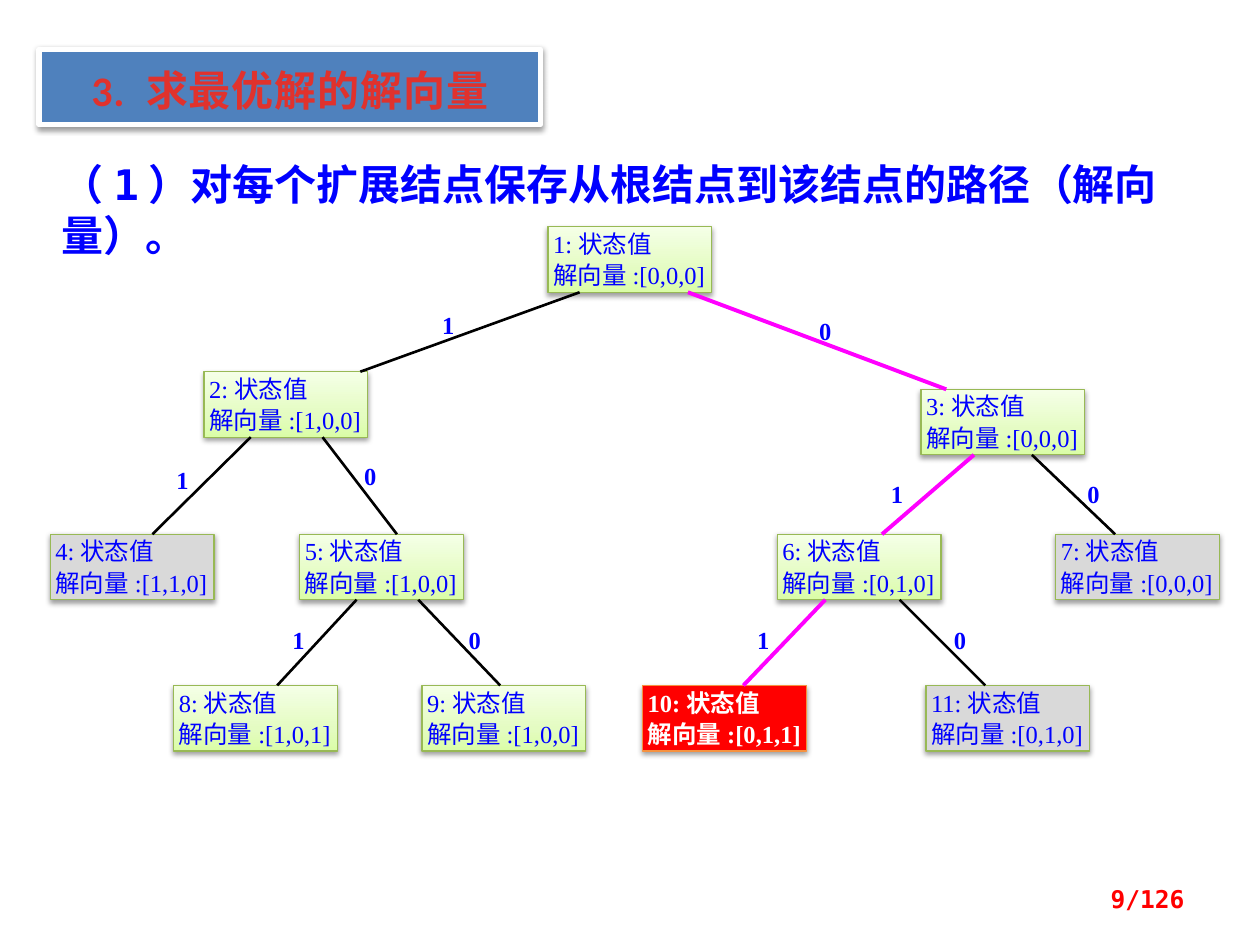
from copy import deepcopy
from dataclasses import dataclass

from lxml import etree
from pptx import Presentation
from pptx.dml.color import RGBColor
from pptx.enum.shapes import MSO_CONNECTOR, MSO_SHAPE
from pptx.enum.text import MSO_ANCHOR, MSO_AUTO_SIZE, PP_ALIGN
from pptx.oxml.ns import qn
from pptx.util import Inches, Pt

RECT = MSO_SHAPE.RECTANGLE
STRAIGHT = MSO_CONNECTOR.STRAIGHT
TOP, MIDDLE = MSO_ANCHOR.TOP, MSO_ANCHOR.MIDDLE
LEFT, CENTER, RIGHT = PP_ALIGN.LEFT, PP_ALIGN.CENTER, PP_ALIGN.RIGHT
FIXED_SIZE = MSO_AUTO_SIZE.NONE
TITLE_ONLY = 5


@dataclass(frozen=True)
class Theme:
    serif: str = "Times New Roman"
    mono: str = "DejaVu Sans Mono"
    sans: str = "Calibri"
    heading: int = 24
    small: int = 14
    blue: str = "0000FF"
    white: str = "FFFFFF"
    black: str = "000000"
    red: str = "FF0000"
    magenta: str = "FF00FF"
    gray: str = "D9D9D9"
    banner: str = "4F81BD"
    green_line: str = "98B955"
    orange_line: str = "F69240"
    green_stops: tuple = ((0, "DAFDA7"), (0.35, "E4FCC2"), (1, "F5FFE7"))
    title_stops: tuple = ((0.25, "E0322D"), (1, "A2201C"))


THEME = Theme()
NODE_W, NODE_H = 1.3, 0.52
LABEL_W, LABEL_H = 0.19, 0.21

# Node number: left, top, solution vector, state
NODES = {
    1: (4.35, 1.8, "0,0,0", "live"),
    2: (1.62, 2.95, "1,0,0", "live"),
    3: (7.31, 3.09, "0,0,0", "live"),
    4: (0.4, 4.24, "1,1,0", "dead"),
    5: (2.38, 4.24, "1,0,0", "live"),
    6: (6.17, 4.24, "0,1,0", "live"),
    7: (8.38, 4.24, "0,0,0", "dead"),
    8: (1.38, 5.44, "1,0,1", "live"),
    9: (3.35, 5.44, "1,0,0", "live"),
    10: (5.1, 5.44, "0,1,1", "best"),
    11: (7.35, 5.44, "0,1,0", "dead"),
}
# Parent, child, x at parent, x at child, choice, label left, label top
EDGES = [
    (1, 2, 4.6, 2.86, "1", 3.51, 2.46),
    (1, 3, 5.46, 7.51, "0", 6.5, 2.51),
    (2, 4, 1.99, 1.21, "1", 1.4, 3.69),
    (2, 5, 2.56, 3.15, "0", 2.89, 3.66),
    (3, 6, 7.73, 7.0, "1", 7.07, 3.8),
    (3, 7, 8.19, 8.85, "0", 8.63, 3.8),
    (5, 8, 2.83, 2.2, "1", 2.32, 4.96),
    (5, 9, 3.32, 3.97, "0", 3.72, 4.96),
    (6, 10, 6.55, 5.9, "1", 6.01, 4.96),
    (6, 11, 7.14, 7.82, "0", 7.57, 4.96),
]
BEST_PATH = (1, 3, 6, 10)


def rgb(color):
    return RGBColor.from_string(color)


def solid(fill, color):
    fill.solid()
    fill.fore_color.rgb = rgb(color)


def gradient(fill, parent, stops, angle):
    """Fill with any number of stops; parent is the element holding the fill."""
    fill.gradient()
    fill.gradient_angle = angle
    stop_list = parent.find(".//" + qn("a:gsLst"))
    for _ in stops[2:]:
        stop_list.append(deepcopy(stop_list[-1]))
    for stop, (position, color) in zip(fill.gradient_stops, stops):
        stop.position = position
        stop.color.rgb = rgb(color)


def outline(sp, color, width):
    sp.line.color.rgb = rgb(color)
    sp.line.width = Pt(width)


def drop_shadow(sp):
    sp.shadow.inherit = False
    effects = sp._element.spPr.find(qn("a:effectLst"))
    shadow = etree.SubElement(effects, qn("a:outerShdw"), blurRad=str(Pt(3.1)),
                              dist=str(Pt(1.6)), dir="5400000", rotWithShape="0")
    color = etree.SubElement(shadow, qn("a:srgbClr"), val=THEME.black)
    etree.SubElement(color, qn("a:alpha"), val="38000")


def set_frame(tf, margins, anchor=TOP, wrap=True):
    tf.margin_left, tf.margin_top, tf.margin_right, tf.margin_bottom = map(Inches, margins)
    tf.vertical_anchor = anchor
    tf.word_wrap = wrap


def add_run(p, text, font, size, color=None, bold=False, align=LEFT):
    p.alignment = align
    r = p.add_run()
    r.text = text
    r.font.name, r.font.size, r.font.bold = font, Pt(size), bold
    if color:
        r.font.color.rgb = rgb(color)
    return r


def add_banner(slide, text):
    sp = slide.shapes.title
    sp.left, sp.top, sp.width, sp.height = map(Inches, (0.31, 0.39, 3.98, 0.6))
    solid(sp.fill, THEME.banner)
    outline(sp, THEME.white, 3)
    drop_shadow(sp)
    set_frame(sp.text_frame, (0.1, 0.12, 0.1, 0.08), MIDDLE)
    sp.text_frame.auto_size = FIXED_SIZE
    r = add_run(sp.text_frame.paragraphs[0], text, THEME.sans, THEME.heading,
                bold=True, align=CENTER)
    gradient(r.font.fill, r._r, THEME.title_stops, 270)
    r._r.get_or_add_rPr().set("spc", "50")


def add_text(slide, box, text, size, color, bold=True, align=LEFT, anchor=TOP):
    tf = slide.shapes.add_textbox(*map(Inches, box)).text_frame
    set_frame(tf, (0.1, 0.05, 0.1, 0.05), anchor)
    add_run(tf.paragraphs[0], text, THEME.mono, size, color, bold, align)


def add_label(slide, left, top, text):
    sp = slide.shapes.add_shape(RECT, *map(Inches, (left, top, LABEL_W, LABEL_H)))
    sp.shadow.inherit = False
    solid(sp.fill, THEME.white)
    sp.line.fill.background()
    set_frame(sp.text_frame, (0, 0, 0, 0), wrap=False)
    add_run(sp.text_frame.paragraphs[0], text, THEME.serif, THEME.small, THEME.blue, True)


def add_node(slide, number, left, top, vector, state):
    sp = slide.shapes.add_shape(RECT, *map(Inches, (left, top, NODE_W, NODE_H)))
    best = state == "best"
    if state == "live":
        gradient(sp.fill, sp._element.spPr, THEME.green_stops, 90)
    else:
        solid(sp.fill, THEME.red if best else THEME.gray)
    outline(sp, THEME.orange_line if best else THEME.green_line, 0.75)
    drop_shadow(sp)
    tf = sp.text_frame
    set_frame(tf, (0.04, 0, 0, 0), wrap=False)
    for p, text in zip((tf.paragraphs[0], tf.add_paragraph()),
                       (f"{number}:状态值", f"解向量:[{vector}]")):
        p.line_spacing = Pt(18)
        add_run(p, text, THEME.serif, THEME.small,
                THEME.white if best else THEME.blue, best)


def add_edge(slide, parent, child, x1, x2):
    y1, y2 = NODES[parent][1] + NODE_H, NODES[child][1]
    line = slide.shapes.add_connector(STRAIGHT, *map(Inches, (x1, y1, x2, y2)))
    on_path = parent in BEST_PATH and child in BEST_PATH
    outline(line, THEME.magenta if on_path else THEME.black, 2.25 if on_path else 1.5)
    etree.SubElement(line._element.spPr, qn("a:effectLst"))


def main():
    prs = Presentation()
    prs.slide_width, prs.slide_height = Inches(10), Inches(7.5)
    slide = prs.slides.add_slide(prs.slide_layouts[TITLE_ONLY])

    # Heading and statement
    add_banner(slide, "3. 求最优解的解向量")
    add_text(slide, (0.39, 1.21, 9.53, 0.5),
             "（1）对每个扩展结点保存从根结点到该结点的路径（解向量）。",
             THEME.heading, THEME.blue)

    # State space tree: labels lie below the lines
    for *_, choice, left, top in EDGES:
        add_label(slide, left, top, choice)
    for number, node in NODES.items():
        add_node(slide, number, *node)
    for parent, child, x1, x2, *_ in EDGES:
        add_edge(slide, parent, child, x1, x2)

    # Page number
    add_text(slide, (7.17, 6.93, 2.33, 0.4), "9/126", THEME.small, THEME.red,
             align=RIGHT, anchor=MIDDLE)
    prs.save("out.pptx")


if __name__ == "__main__":
    main()
